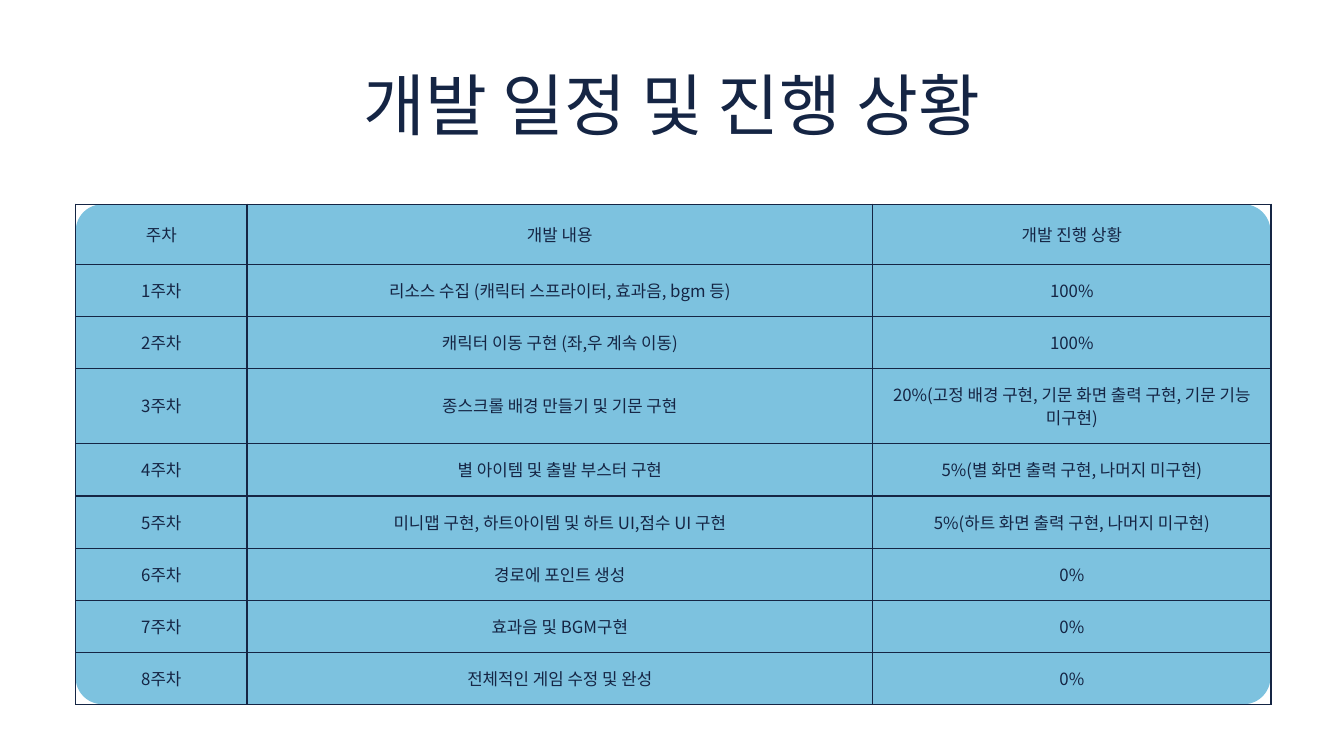
import pptx
import pptx.util
import pptx.dml.color
import pptx.enum.shapes
import pptx.enum.text
import pptx.oxml

Pt = pptx.util.Pt
RGB = pptx.dml.color.RGBColor.from_string
COLORS = {"ink": "152544", "panel": "7DC2DF", "page": "FFFFFF"}
GRID_COLUMNS, GRID_ROWS = 200, 112.5

# Table position and tracks, in grid units
LEFT, TOP, WIDTH, HEIGHT = 11.25, 30.4, 177.8, 74.4
COLUMN_WIDTHS = [25.5, 93.1, 59.3]
ROW_HEIGHTS = [9, 7.7, 7.7, 11.2, 7.8, 7.8, 7.8, 7.7, 7.7]

HEADINGS = ["주차", "개발 내용", "개발 진행 상황"]
WEEKS = [
    ("리소스 수집 (캐릭터 스프라이터, 효과음, bgm 등)", "100%"),
    ("캐릭터 이동 구현 (좌,우 계속 이동)", "100%"),
    ("종스크롤 배경 만들기 및 기문 구현",
     "20%(고정 배경 구현, 기문 화면 출력 구현, 기문 기능 미구현)"),
    ("별 아이템 및 출발 부스터 구현", "5%(별 화면 출력 구현, 나머지 미구현)"),
    ("미니맵 구현, 하트아이템 및 하트 UI,점수 UI 구현",
     "5%(하트 화면 출력 구현, 나머지 미구현)"),
    ("경로에 포인트 생성", "0%"),
    ("효과음 및 BGM구현", "0%"),
    ("전체적인 게임 수정 및 완성", "0%"),
]


class SlideBuilder:
    """Style and current slide; lengths are grid units."""

    def __init__(self, deck):
        self.unit_x = deck.slide_width / GRID_COLUMNS
        self.unit_y = deck.slide_height / GRID_ROWS
        self.page = deck.slides.add_slide(deck.slide_layouts[5])
        self.page.background.fill.solid()
        self.page.background.fill.fore_color.rgb = RGB(COLORS["page"])

    def x(self, columns):
        return round(columns * self.unit_x)

    def y(self, rows):
        return round(rows * self.unit_y)

    def area(self, left, top, width, height):
        return self.x(left), self.y(top), self.x(width), self.y(height)

    def set_text(self, frame, text, size, spacing):
        frame.text = text
        para = frame.paragraphs[0]
        para.alignment = pptx.enum.text.PP_ALIGN.CENTER
        para.line_spacing = Pt(spacing)
        # Text with Latin letters, digits or signs takes the Korean font
        mixed = any(mark.isascii() and mark != " " for mark in text)
        para.font.name = "Noto Sans CJK KR" if mixed else "Calibri"
        para.font.size = Pt(size)
        para.font.bold = False
        para.font.color.rgb = RGB(COLORS["ink"])

    def title(self, text, *area):
        box = self.page.shapes.title
        box.left, box.top, box.width, box.height = self.area(*area)
        frame = box.text_frame
        frame.margin_left = frame.margin_right = 0
        frame.margin_top = frame.margin_bottom = 0
        frame.word_wrap = True
        frame.auto_size = pptx.enum.text.MSO_AUTO_SIZE.NONE
        frame.vertical_anchor = pptx.enum.text.MSO_ANCHOR.TOP
        self.set_text(frame, text, 72, 86.4)

    def panel(self, radius, *area):
        shape = self.page.shapes.add_shape(
            pptx.enum.shapes.MSO_SHAPE.ROUNDED_RECTANGLE, *self.area(*area))
        shape.adjustments[0] = radius / min(area[2:])
        shape.shadow.inherit = False
        shape.fill.solid()
        shape.fill.fore_color.rgb = RGB(COLORS["panel"])
        shape.line.fill.background()

    def borders(self, cell, width):
        properties = cell._tc.get_or_add_tcPr()
        for index, side in enumerate("LRTB"):
            properties.insert(index, pptx.oxml.parse_xml(
                f'<a:ln{side} w="{Pt(width)}" xmlns:a='
                '"http://schemas.openxmlformats.org/drawingml/2006/main">'
                f'<a:solidFill><a:srgbClr val="{COLORS["ink"]}"/></a:solidFill>'
                f'</a:ln{side}>'))

    def table(self, rows, widths, heights, *area):
        table = self.page.shapes.add_table(
            len(rows), len(widths), *self.area(*area)).table
        table.first_row = table.horz_banding = False
        for column, width in zip(table.columns, widths):
            column.width = self.x(width)
        for row, height, texts in zip(table.rows, heights, rows):
            row.height = self.y(height)
            for cell, text in zip(row.cells, texts):
                cell.margin_left = cell.margin_right = self.x(2.1)
                cell.margin_top = cell.margin_bottom = self.y(2.1)
                cell.vertical_anchor = pptx.enum.text.MSO_ANCHOR.MIDDLE
                cell.fill.background()
                self.borders(cell, 1.5)
                self.set_text(cell.text_frame, text, 18, 25.2)


def main():
    deck = pptx.Presentation()
    deck.slide_width = pptx.util.Inches(20)
    deck.slide_height = pptx.util.Inches(11.25)
    builder = SlideBuilder(deck)

    # Rounded backdrop and heading
    builder.panel(4, LEFT, TOP, WIDTH, HEIGHT)
    builder.title("개발 일정 및 진행 상황", 28.7, 9.4, 142.6, 13.9)

    # Weekly schedule
    rows = [HEADINGS] + [(f"{number}주차", *week)
                         for number, week in enumerate(WEEKS, 1)]
    builder.table(rows, COLUMN_WIDTHS, ROW_HEIGHTS, LEFT, TOP, WIDTH, HEIGHT)

    deck.save("out.pptx")


if __name__ == "__main__":
    main()
